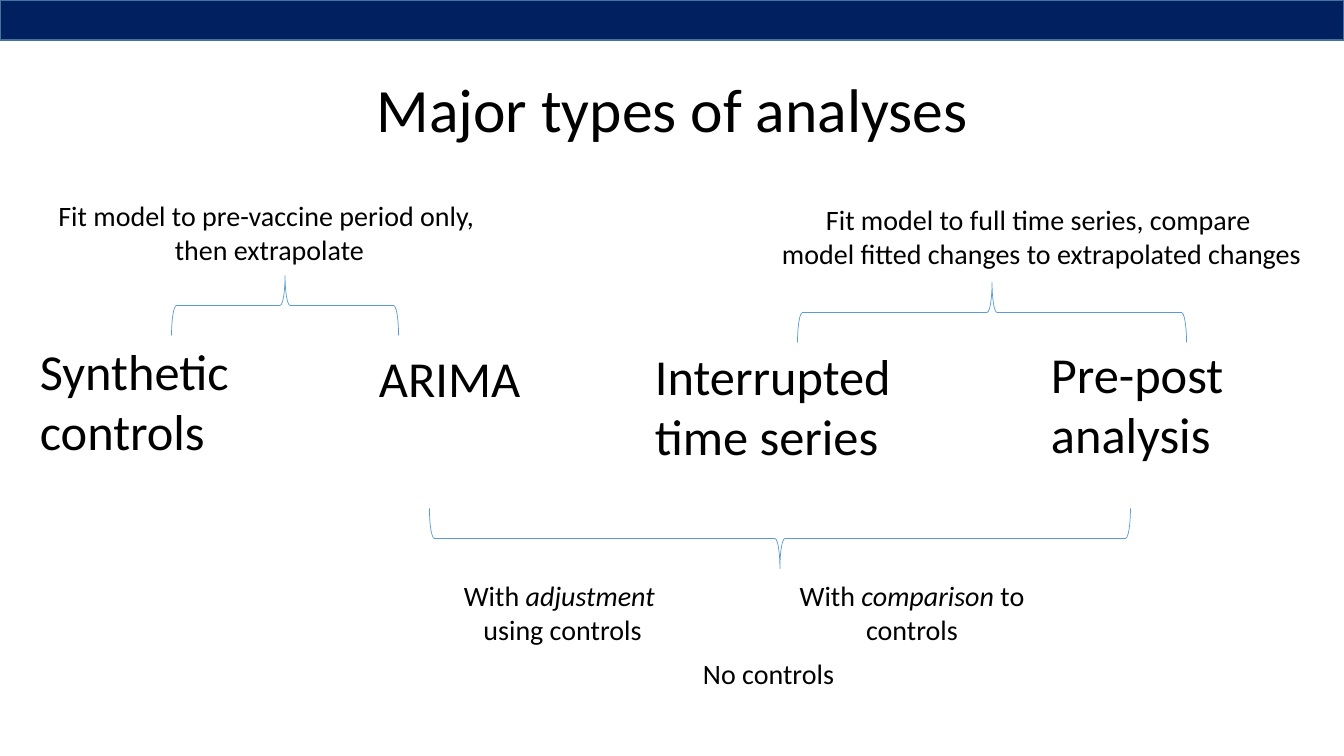
"""Build the slide "Major types of analyses"."""
from pptx import Presentation
from pptx.dml.color import RGBColor
from pptx.enum.shapes import MSO_SHAPE
from pptx.enum.text import MSO_ANCHOR, PP_ALIGN
from pptx.util import Pt

RECTANGLE, LEFT_BRACE = MSO_SHAPE.RECTANGLE, MSO_SHAPE.LEFT_BRACE
LEFT, CENTER = PP_ALIGN.LEFT, PP_ALIGN.CENTER
TOP, MIDDLE = MSO_ANCHOR.TOP, MSO_ANCHOR.MIDDLE
COLORS = {"bar": "002060", "bar_edge": "43739E", "brace": "5B9BD5", "text": "000000"}
FONT = "Calibri"
PX = 914400 / 100.8


def emu(*pixels):
    return [round(pixel * PX) for pixel in pixels]


def add_text(frame, paragraphs, size, align, wrap=True, anchor=TOP):
    box = page.shapes.add_textbox(*emu(*frame))
    body = box.text_frame
    body.word_wrap = wrap
    body.vertical_anchor = anchor
    for index, runs in enumerate(paragraphs):
        para = body.paragraphs[0] if index == 0 else body.add_paragraph()
        para.alignment = align
        for words, italic in runs:
            span = para.add_run()
            span.text = words
            span.font.name = FONT
            span.font.size = Pt(size)
            span.font.italic = italic
            span.font.color.rgb = RGBColor.from_string(COLORS["text"])
    return box


deck = Presentation()
deck.slide_width, deck.slide_height = emu(1344, 756)
page = deck.slides.add_slide(deck.slide_layouts[6])

bar = page.shapes.add_shape(RECTANGLE, *emu(0, 0, 1344, 40))
bar.shadow.inherit = False
bar.fill.solid()
bar.fill.fore_color.rgb = RGBColor.from_string(COLORS["bar"])
bar.line.color.rgb = RGBColor.from_string(COLORS["bar_edge"])
bar.line.width = Pt(1)

title = add_text((93, 40, 1159, 146), [[("Major types of analyses", False)]], 44, CENTER, anchor=MIDDLE)
title.text_frame.paragraphs[0].line_spacing = 0.9

methods = [
    ("Synthetic controls", (30, 335, 282, 132), True),
    ("ARIMA", (369, 342, 163, 72), False),
    ("Interrupted time series", (645, 340, 348, 132), True),
    ("Pre-post analysis", (1041, 338, 348, 132), True),
]
for name, frame, wrap in methods:
    add_text(frame, [[(name, False)]], 36, LEFT, wrap)

notes = [
    ((20, 194, 499, 78), True,
     [[("Fit model to pre-vaccine period only, ", False)], [("then extrapolate", False)]]),
    ((769, 198, 545, 78), False,
     [[("Fit model to full time series, compare ", False)],
      [("model fitted changes to extrapolated changes", False)]]),
    ((452, 574, 221, 78), False,
     [[("With ", False), ("adjustment ", True)], [("using controls", False)]]),
    ((783, 574, 258, 78), True,
     [[("With ", False), ("comparison", True), (" to controls", False)]]),
    ((668, 652, 201, 44), True, [[("No controls", False)]]),
]
for frame, wrap, paragraphs in notes:
    add_text(frame, paragraphs, 20, CENTER, wrap)

braces = [
    ((255, 192, 60, 227), 90),
    ((962, 118, 60, 389), 90),
    ((750, 188, 60, 701), 270),
]
for frame, rotation in braces:
    brace = page.shapes.add_shape(LEFT_BRACE, *emu(*frame))
    brace.shadow.inherit = False
    brace.rotation = rotation
    brace.fill.background()
    brace.line.color.rgb = RGBColor.from_string(COLORS["brace"])
    brace.line.width = Pt(0.5)

deck.save("out.pptx")
